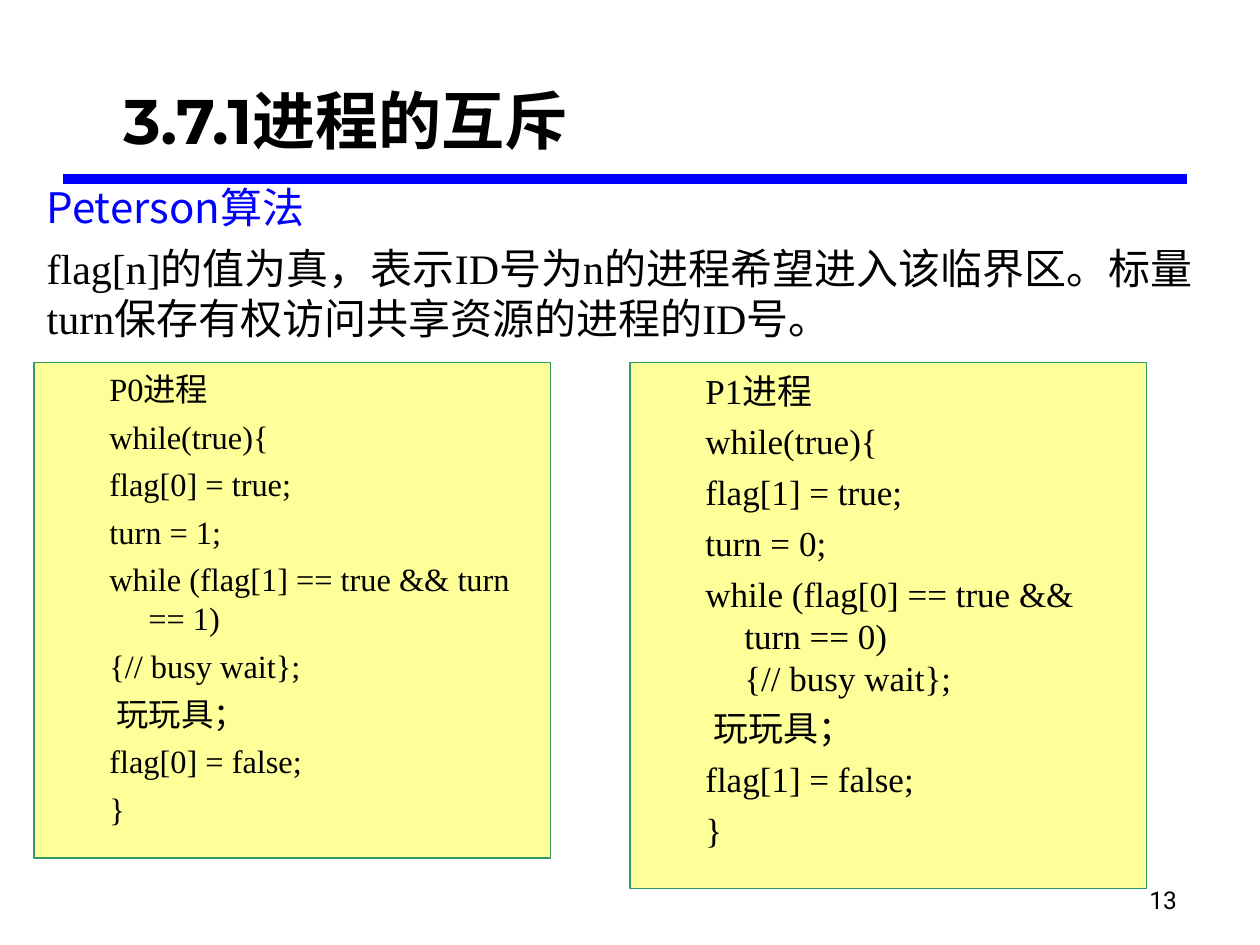
from lxml.etree import SubElement as Sub
from pptx import Presentation
from pptx.dml.color import RGBColor as Rgb
from pptx.enum.shapes import MSO_CONNECTOR as Conn, MSO_SHAPE as Shape
from pptx.enum.text import MSO_ANCHOR as Anchor, MSO_AUTO_SIZE as Auto, PP_ALIGN as Align
from pptx.oxml.ns import qn
from pptx.util import Inches, Pt

HUE = {"ink": "000000", "blue": "0000FF", "pale": "FFFF99", "edge": "339966"}
CJK = "Noto Sans CJK SC"
UNIT = Inches(0.1)

CODE = {
    "P0": ["P0进程", "while(true){", "flag[0] = true;", "turn = 1;",
           "while (flag[1] == true && turn == 1)", "{// busy wait};",
           " 玩玩具；", "flag[0] = false;", "}"],
    "P1": ["P1进程", "while(true){", "flag[1] = true;", "turn = 0;",
           "while (flag[0] == true && turn == 0)\v{// busy wait};",
           " 玩玩具；", "flag[1] = false;", "}"],
}


def grid(*cells):
    return [round(cell * UNIT) for cell in cells]


def tint(name):
    return Rgb.from_string(HUE[name])


def place(shape, box):
    for name, value in zip(("left", "top", "width", "height"), grid(*box)):
        setattr(shape, name, value)


def frame(shape, **form):
    text = shape.text_frame
    base = {"auto_size": Auto.NONE, "word_wrap": True, "vertical_anchor": Anchor.TOP}
    for name, value in {**base, **form}.items():
        setattr(text, name, value)
    return text


def write(text, lines, font, size, hue="ink", bold=False, gap=0,
          left=0, hang=0, level=0, align=Align.LEFT):
    for num, line in enumerate(lines):
        para = text.paragraphs[0] if num == 0 else text.add_paragraph()
        para.text = line
        form = {"level": level, "alignment": align, "space_before": Pt(gap if num else 0)}
        for name, value in form.items():
            setattr(para, name, value)
        prop = para._p.get_or_add_pPr()
        prop.set("marL", str(Inches(left)))
        prop.set("indent", str(Inches(hang)))
        Sub(prop, qn("a:buNone"))
        for run in para.runs:
            for name, value in {"name": font, "size": Pt(size), "bold": bold}.items():
                setattr(run.font, name, value)
            run.font.color.rgb = tint(hue)
            Sub(run._r.get_or_add_rPr(), qn("a:ea"), typeface=CJK)


def title(slide, box):
    place(slide.shapes.title, box)
    text = frame(slide.shapes.title, word_wrap=False)
    write(text, ["3.7.1进程的互斥"], "Montserrat", 36, bold=True)


def rule(slide, box):
    x, y, w, h = grid(*box)
    line = slide.shapes.add_connector(Conn.STRAIGHT, x, y, x + w, y + h)
    line.line.color.rgb = tint("blue")
    line.line.width = Pt(6)
    Sub(line._element.spPr, qn("a:effectLst"))


def intro(slide, box):
    body = slide.placeholders[1]
    place(body, box)
    text = frame(body)
    write(text, ["Peterson算法"], CJK, 24, "blue")
    para = text.add_paragraph()
    para.text = "flag[n]的值为真，表示ID号为n的进程希望进入该临界区。标量turn保存有权访问共享资源的进程的ID号。"
    para.space_before = Pt(6)
    prop = para._p.get_or_add_pPr()
    for name in ("marL", "indent"):
        prop.set(name, "0")
    Sub(prop, qn("a:buNone"))
    for run in para.runs:
        for name, value in {"name": "Times New Roman", "size": Pt(24)}.items():
            setattr(run.font, name, value)
        run.font.color.rgb = tint("ink")
        Sub(run._r.get_or_add_rPr(), qn("a:ea"), typeface=CJK)


def panel(slide, box, lines, size):
    card = slide.shapes.add_shape(Shape.RECTANGLE, *grid(*box))
    card.shadow.inherit = False
    card.fill.solid()
    card.fill.fore_color.rgb = tint("pale")
    card.line.color.rgb = tint("edge")
    card.line.width = Pt(0.75)
    write(frame(card), lines, "Times New Roman", size, gap=5,
          left=0.81, hang=-0.31, level=1)


def page(slide, box):
    note = slide.shapes.add_textbox(*grid(*box))
    write(frame(note, vertical_anchor=Anchor.BOTTOM), ["13"], "Roboto", 14,
          align=Align.RIGHT)


def main():
    deck = Presentation()
    deck.slide_width, deck.slide_height = grid(100, 75)
    slide = deck.slides.add_slide(deck.slide_layouts[1])
    rule(slide, (5, 14.2, 89.2, 0))
    page(slide, (73.6, 68.1, 20.8, 5))
    intro(slide, (2.7, 13.9, 95.3, 16.5))
    title(slide, (8.8, 6, 39.6, 7))
    panel(slide, (2.7, 28.8, 41, 39.3), CODE["P0"], 18.5)
    panel(slide, (50, 28.8, 41, 41.7), CODE["P1"], 20)
    deck.save("out.pptx")


if __name__ == "__main__":
    main()
